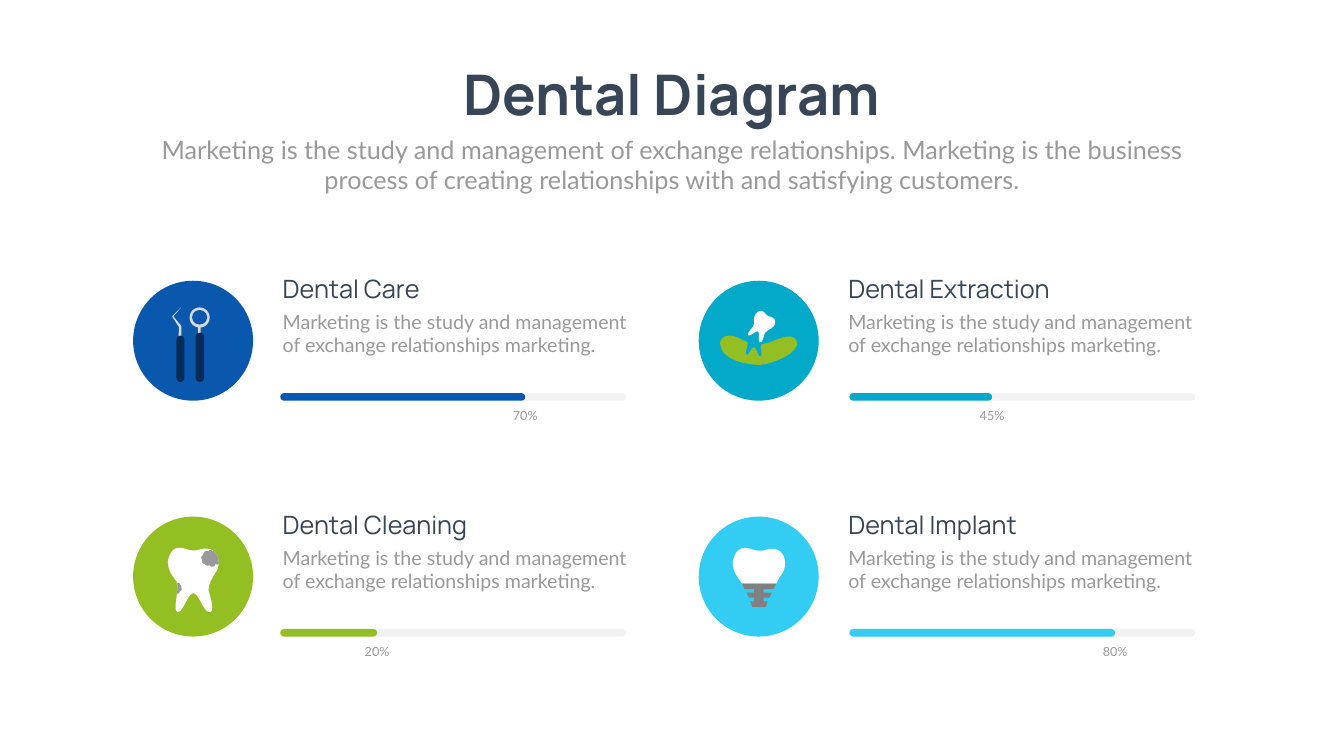
from lxml import etree
from pptx import Presentation
from pptx.dml.color import RGBColor
from pptx.enum import shapes, text
from pptx.oxml.ns import qn
from pptx.util import Inches, Pt

NAVY, GREY, WHITE, STEEL, SILVER = "374556", "999999", "FFFFFF", "808080", "D9D9D9"
BLUE, TEAL, GREEN, SKY, HANDLE = "0A58AE", "02A9C8", "93BF22", "33CDF3", "052C57"
OVAL, ROUND, RECT = (shapes.MSO_SHAPE.OVAL, shapes.MSO_SHAPE.ROUNDED_RECTANGLE,
                     shapes.MSO_SHAPE.RECTANGLE)

TITLE = "Dental Diagram"
SUBTITLE = ("Marketing is the study and management of exchange relationships. "
            "Marketing is the business process of creating relationships with "
            "and satisfying customers.")
BODY = "Marketing is the study and management of exchange relationships marketing."

TOOLS = [
    (None, SILVER, [(3.6, 6.48), (3.59, 6.46), (3.44, 6.28), (3.59, 6.1), (3.42, 6.27),
                    (3.42, 6.29), (3.55, 6.49), (3.54, 6.74), (3.6, 6.74)]),
    (ROUND, HANDLE, (3.5, 6.66, 0.16, 0.92)),
    (RECT, SILVER, (3.93, 6.31, 0.05, 0.5)),
    (OVAL, SILVER, (3.76, 6.1, 0.4, 0.4)),
    (OVAL, BLUE, (3.81, 6.15, 0.3, 0.29)),
    (ROUND, HANDLE, (3.88, 6.6, 0.17, 0.98)),
]
EXTRACTION = [
    (None, WHITE, [
        (15.05, 6.18), (15.09, 6.16, 15.14, 6.17, 15.17, 6.21),
        (15.19, 6.24, 15.23, 6.27, 15.26, 6.28), (15.31, 6.29, 15.35, 6.31, 15.37, 6.35),
        (15.39, 6.4, 15.37, 6.48, 15.29, 6.52), (15.2, 6.57, 15.17, 6.6, 15.16, 6.64),
        (15.15, 6.68, 15.12, 6.8, 15.08, 6.79), (15.02, 6.78, 15.08, 6.6, 15.04, 6.58),
        (15, 6.55, 14.87, 6.69, 14.84, 6.65), (14.81, 6.61, 14.97, 6.48, 14.96, 6.41),
        (14.96, 6.35, 14.94, 6.24, 15.05, 6.18)]),
    (None, GREEN, [
        (15.8, 6.76), (15.69, 6.55, 15.35, 6.79, 15.17, 6.82),
        (15.15, 6.83, 15.13, 6.83, 15.11, 6.83), (15.09, 6.86, 15.09, 6.88, 15.09, 6.9),
        (15.1, 6.94, 15.12, 7.06, 15.09, 7.07), (15.03, 7.09, 15.01, 6.9, 14.96, 6.89),
        (14.91, 6.88, 14.85, 7.06, 14.81, 7.04), (14.76, 7.02, 14.84, 6.86, 14.83, 6.79),
        (14.71, 6.74, 14.61, 6.67, 14.49, 6.66), (14.31, 6.65, 14.27, 6.78, 14.29, 6.85),
        (14.33, 7.13, 14.77, 7.24, 15.07, 7.24), (15.33, 7.23, 15.91, 6.98, 15.8, 6.76)]),
]
CLEANING = [
    (None, WHITE, [
        (3.55, 10.87), (3.59, 10.87, 3.63, 10.87, 3.68, 10.89),
        (3.75, 10.91, 3.86, 10.94, 3.93, 10.91), (4.04, 10.88, 4.13, 10.87, 4.22, 10.92),
        (4.29, 10.97, 4.34, 11.06, 4.34, 11.17), (4.33, 11.26, 4.31, 11.32, 4.27, 11.37),
        (4.15, 11.56, 4.12, 11.67, 4.15, 11.76), (4.18, 11.85, 4.25, 12.11, 4.18, 12.14),
        (4.05, 12.2, 3.95, 11.77, 3.84, 11.77), (3.72, 11.76, 3.63, 12.18, 3.52, 12.14),
        (3.47, 12.13, 3.48, 12, 3.5, 11.87), (3.51, 11.78),
        (3.52, 11.69, 3.53, 11.62, 3.51, 11.57), (3.5, 11.53),
        (3.41, 11.42, 3.24, 11.2, 3.39, 10.97), (3.43, 10.9, 3.49, 10.87, 3.55, 10.87)]),
    (None, GREY, [
        (4.18, 10.91), (4.19, 10.91, 4.2, 10.92, 4.21, 10.93), (4.23, 10.93),
        (4.29, 10.97, 4.34, 11.06, 4.34, 11.17), (4.33, 11.2),
        (4.31, 11.21, 4.29, 11.2, 4.27, 11.19), (4.27, 11.22, 4.25, 11.24, 4.23, 11.24),
        (4.2, 11.25, 4.17, 11.24, 4.16, 11.21), (4.12, 11.24, 4.07, 11.22, 4.05, 11.18),
        (4.03, 11.19, 4.01, 11.17, 4.01, 11.15), (4, 11.13, 4, 11.12, 4.01, 11.1),
        (4, 11.09, 3.99, 11.08, 3.99, 11.06), (4, 11.04, 4.01, 11.02, 4.03, 11.02),
        (4.03, 10.99, 4.04, 10.97, 4.05, 10.96), (4.07, 10.93, 4.1, 10.93, 4.13, 10.94),
        (4.15, 10.92, 4.16, 10.91, 4.18, 10.91)]),
    (None, GREY, [
        (3.54, 11.56), (3.56, 11.57, 3.57, 11.58, 3.57, 11.6),
        (3.59, 11.6, 3.59, 11.61, 3.59, 11.62), (3.6, 11.63, 3.6, 11.64, 3.59, 11.65),
        (3.6, 11.66, 3.61, 11.68, 3.6, 11.7), (3.6, 11.72, 3.58, 11.73, 3.56, 11.74),
        (3.56, 11.75, 3.56, 11.76, 3.55, 11.77), (3.54, 11.78, 3.53, 11.78, 3.51, 11.78),
        (3.52, 11.69, 3.53, 11.62, 3.51, 11.57)]),
]
IMPLANT = [
    (None, WHITE, [
        (14.72, 11.58), (15.4, 11.58), (15.42, 11.53, 15.46, 11.46, 15.51, 11.39),
        (15.63, 11.2, 15.56, 11, 15.47, 10.94), (15.38, 10.87, 15.28, 10.88, 15.15, 10.92),
        (15.08, 10.94, 14.97, 10.92, 14.89, 10.89), (14.78, 10.85, 14.67, 10.87, 14.6, 10.97),
        (14.45, 11.21, 14.6, 11.42, 14.69, 11.53)]),
    (None, STEEL, [(15.34, 11.69), (15.4, 11.58), (14.72, 11.58), (14.77, 11.69)]),
    (None, STEEL, [(14.86, 11.86), (15.26, 11.86), (15.31, 11.76), (14.81, 11.76)]),
    (None, STEEL, [(14.92, 12.04), (15.19, 12.04), (15.23, 11.93), (14.88, 11.93)]),
    (RECT, STEEL, (14.96, 11.66, 0.19, 0.35)),
]
ITEMS = [
    ("Dental Care", "70%", 4.86, BLUE, TOOLS),
    ("Dental Extraction", "45%", 2.83, TEAL, EXTRACTION),
    ("Dental Cleaning", "20%", 1.92, GREEN, CLEANING),
    ("Dental Implant", "80%", 5.27, SKY, IMPLANT),
]
COL, ROW, BAR_COL = 11.22, 4.68, 11.29


def paint(sp, color, alpha=None):
    sp.shadow.inherit = False
    sp.line.fill.background()
    sp.fill.solid()
    sp.fill.fore_color.rgb = RGBColor.from_string(color)
    if alpha:
        clr = sp.fill._xPr.find(".//" + qn("a:srgbClr"))
        etree.SubElement(clr, qn("a:alpha")).set("val", str(alpha * 1000))


def add_preset(parent, kind, color, box, alpha=None):
    sp = parent.add_shape(kind, *map(Inches, box))
    if kind == ROUND:
        sp.adjustments[0] = 0.5
    paint(sp, color, alpha)


def trace(segments, steps=8):
    pts = [segments[0]]
    for seg in segments[1:]:
        if len(seg) == 2:
            pts.append(seg)
            continue
        ctrl = [pts[-1], seg[:2], seg[2:4], seg[4:]]
        for i in range(1, steps + 1):
            t = i / steps
            k = ((1 - t) ** 3, 3 * t * (1 - t) ** 2, 3 * t * t * (1 - t), t ** 3)
            pts.append(tuple(sum(w * c[a] for w, c in zip(k, ctrl)) for a in (0, 1)))
    return [(Inches(x), Inches(y)) for x, y in pts]


def add_outline(parent, color, segments):
    pts = trace(segments)
    fb = parent.build_freeform(*pts[0])
    fb.add_line_segments(pts[1:], close=True)
    paint(fb.convert_to_shape(), color)


def write(sp, box, content, size, font, color, align=text.PP_ALIGN.LEFT, bold=False):
    sp.left, sp.top, sp.width, sp.height = map(Inches, box)
    tf = sp.text_frame
    tf.text = content
    tf.word_wrap = True
    tf.auto_size = text.MSO_AUTO_SIZE.NONE
    tf.vertical_anchor = text.MSO_ANCHOR.MIDDLE
    p = tf.paragraphs[0]
    p.alignment = align
    p.space_before = Pt(0)
    f = p.runs[0].font
    f.size, f.name, f.bold = Pt(size), font, bold
    f.color.rgb = RGBColor.from_string(color)


def add_text(s, *args, **kwargs):
    write(s.shapes.add_textbox(0, 0, 0, 0), *args, **kwargs)


def add_item(s, index, name, percent, length, color, icon):
    row, col = divmod(index, 2)
    x, y, bar = col * COL, row * ROW, 5.56 + col * BAR_COL
    add_text(s, (5.51 + x, 5.37 + y, 4.91, 0.71), name, 36, "Manrope", NAVY)
    add_text(s, (5.51 + x, 6.09 + y, 7.29, 1.04), BODY, 28, "Lato", GREY)
    add_preset(s.shapes, ROUND, STEEL, (bar, 7.8 + y, 6.86, 0.15), alpha=10)
    add_preset(s.shapes, ROUND, color, (bar, 7.8 + y, length, 0.15))
    add_text(s, (bar + length - 0.55, 8.04 + y, 1.1, 0.4), percent, 18, "Lato", GREY,
             text.PP_ALIGN.CENTER)
    g = s.shapes.add_group_shape().shapes
    add_preset(g, OVAL, color, (2.64 + x, 5.57 + y, 2.38, 2.38))
    for kind, fill, geometry in icon:
        if kind is None:
            add_outline(g, fill, geometry)
        else:
            add_preset(g, kind, fill, geometry)


def main():
    prs = Presentation()
    prs.slide_width, prs.slide_height = Inches(26.66), Inches(15)
    s = prs.slides.add_slide(prs.slide_layouts[0])
    s.background.fill.solid()
    s.background.fill.fore_color.rgb = RGBColor.from_string("FEFFFE")
    title, subtitle = s.placeholders
    write(title, (8.65, 1.12, 9.35, 1.45), TITLE, 80, "Manrope", NAVY,
          text.PP_ALIGN.CENTER, True)
    write(subtitle, (2.92, 2.61, 20.82, 1.31), SUBTITLE, 36, "Lato", GREY,
          text.PP_ALIGN.CENTER)
    for i, item in enumerate(ITEMS):
        add_item(s, i, *item)
    prs.save("out.pptx")


if __name__ == "__main__":
    main()
